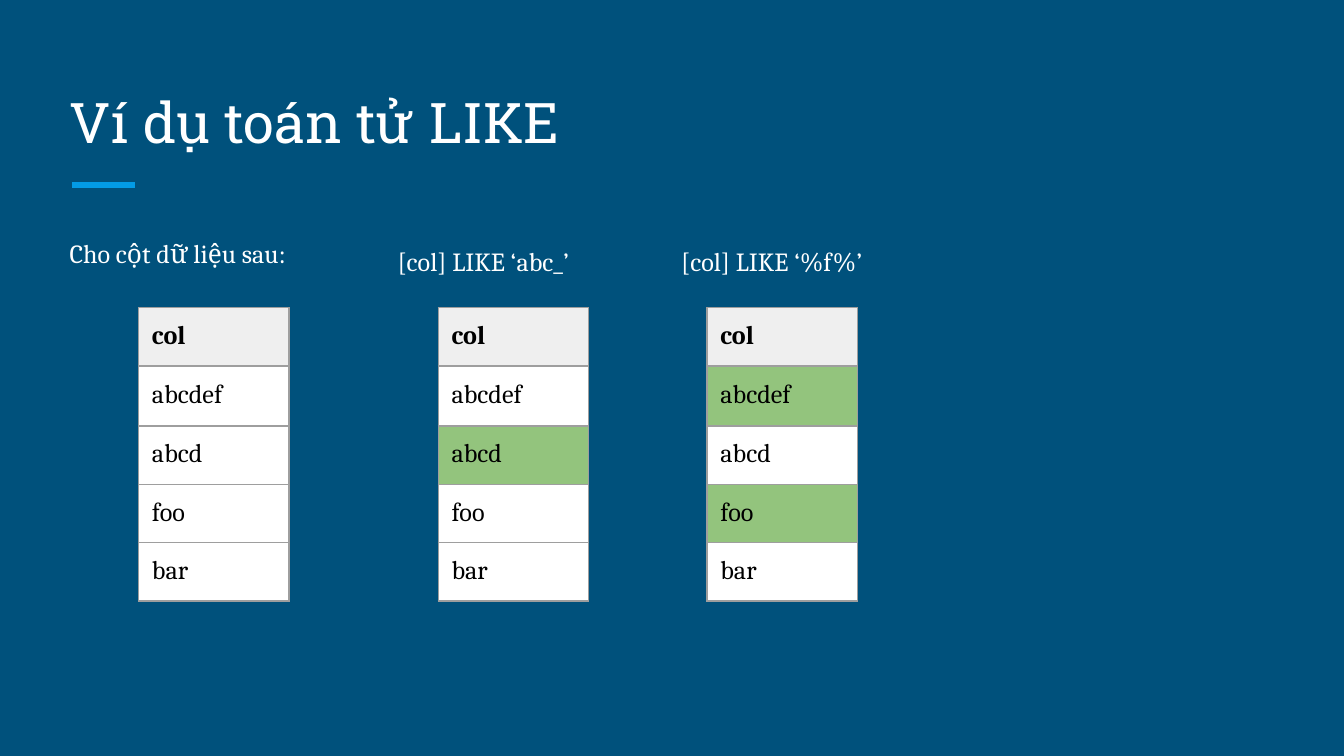
from lxml import etree
from pptx import Presentation
from pptx.dml.color import RGBColor
from pptx.enum.shapes import MSO_CONNECTOR
from pptx.enum.text import MSO_ANCHOR
from pptx.oxml.ns import qn
from pptx.util import Pt

STRAIGHT = MSO_CONNECTOR.STRAIGHT
TOP, BOTTOM = MSO_ANCHOR.TOP, MSO_ANCHOR.BOTTOM

TITLE = "Ví dụ toán tử LIKE"
COLUMN = ["col", "abcdef", "abcd", "foo", "bar"]
# Caption, caption box (left, top, width), table left, matching values
EXAMPLES = [
    ("Cho cột dữ liệu sau:", (30.2, 117.4, 203.8), 74.2, []),
    ("[col] LIKE ‘abc_’", (205.9, 121.7, 131), 234.7, ["abcd"]),
    ("[col] LIKE ‘%f%’", (357.8, 121.7, 131), 378.7, ["abcdef", "foo"]),
]

TITLE_FONT, BODY_FONT = "Roboto Slab", "Cambria"
BACKGROUND, ACCENT = "00517C", "039BE5"
WHITE, BLACK, BORDER = "FFFFFF", "000000", "9E9E9E"
HEADER_FILL, MATCH_FILL = "EFEFEF", "93C47D"

INSET = 7.2
CAPTION_HEIGHT = 242.6
TABLE_TOP, COLUMN_WIDTH = 164.9, 80.6
ROW_HEIGHTS = [30.8, 32.1, 30.8, 30.8, 30.8]


def color(value):
    return RGBColor.from_string(value)


def set_margins(target):
    """Give a text frame or a table cell equal insets."""
    target.margin_left = target.margin_right = Pt(INSET)
    target.margin_top = target.margin_bottom = Pt(INSET)


def style_font(font, name, size, value, bold=False):
    font.name, font.size, font.bold = name, Pt(size), bold
    font.color.rgb = color(value)


def add_text(slide, text, box, name, size, anchor=TOP, spacing=1.0):
    frame = slide.shapes.add_textbox(*map(Pt, box)).text_frame
    frame.word_wrap = True
    frame.vertical_anchor = anchor
    set_margins(frame)
    paragraph = frame.paragraphs[0]
    paragraph.text = text
    paragraph.line_spacing = spacing
    style_font(paragraph.font, name, size, WHITE)


def add_borders(cell):
    properties = cell._tc.get_or_add_tcPr()
    for side in ("a:lnL", "a:lnR", "a:lnT", "a:lnB"):
        line = etree.SubElement(properties, qn(side), w=str(Pt(0.75)))
        fill = etree.SubElement(line, qn("a:solidFill"))
        etree.SubElement(fill, qn("a:srgbClr"), val=BORDER)


def add_column_table(slide, left, matches):
    box = (left, TABLE_TOP, COLUMN_WIDTH, sum(ROW_HEIGHTS))
    table = slide.shapes.add_table(len(COLUMN), 1, *map(Pt, box)).table
    for index, (value, height) in enumerate(zip(COLUMN, ROW_HEIGHTS)):
        table.rows[index].height = Pt(height)
        cell = table.cell(index, 0)
        set_margins(cell)
        add_borders(cell)
        is_header = index == 0
        cell_fill = HEADER_FILL if is_header else MATCH_FILL if value in matches else WHITE
        cell.fill.solid()
        cell.fill.fore_color.rgb = color(cell_fill)
        cell.text = value
        style_font(cell.text_frame.paragraphs[0].font, BODY_FONT, 14, BLACK, is_header)


def add_accent_line(slide):
    line = slide.shapes.add_connector(STRAIGHT, Pt(38.6), Pt(99.1), Pt(72.3), Pt(99.1))
    line.line.color.rgb = color(ACCENT)
    line.line.width = Pt(3)
    etree.SubElement(line._element.spPr, qn("a:effectLst"))


def main():
    presentation = Presentation()
    presentation.slide_width, presentation.slide_height = Pt(720), Pt(405)
    slide = presentation.slides.add_slide(presentation.slide_layouts[6])
    slide.background.fill.solid()
    slide.background.fill.fore_color.rgb = color(BACKGROUND)

    add_accent_line(slide)
    add_text(slide, TITLE, (30.2, 36, 658.8, 54), TITLE_FONT, 30, anchor=BOTTOM)
    for caption, caption_box, table_left, matches in EXAMPLES:
        add_text(slide, caption, (*caption_box, CAPTION_HEIGHT), BODY_FONT, 14, spacing=1.15)
        add_column_table(slide, table_left, matches)

    presentation.save("out.pptx")


if __name__ == "__main__":
    main()
